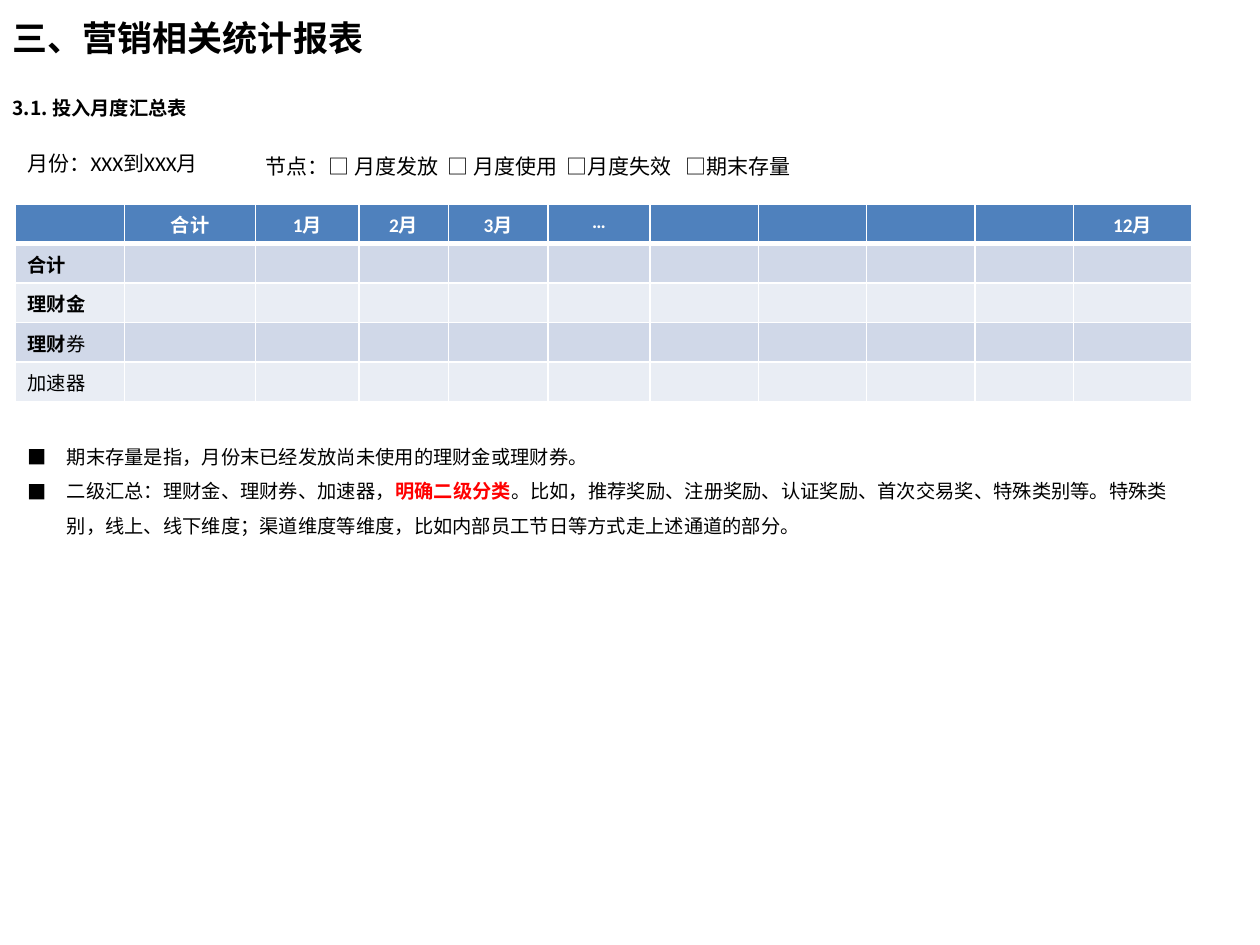
from lxml.etree import SubElement
from pptx import Presentation
from pptx.dml.color import RGBColor
from pptx.enum.text import MSO_ANCHOR, MSO_AUTO_SIZE, PP_ALIGN
from pptx.oxml.ns import qn
from pptx.util import Emu, Inches, Pt

THEME = {
    "cjk": "Noto Sans CJK SC", "latin": "Calibri",
    "black": "000000", "white": "FFFFFF", "red": "FF0000",
    "header": "4F81BD", "bands": ("D0D8E8", "E9EDF4"),
    "title": 20, "label": 12, "text": 11,
}

prs = Presentation()
prs.slide_width, prs.slide_height = Inches(10), Inches(7.5)


def share(x, y, w, h):
    """Turn percentages of the slide into left, top, width and height."""
    sw, sh = prs.slide_width / 100, prs.slide_height / 100
    return [Emu(round(v * side)) for v, side in ((x, sw), (y, sh), (w, sw), (h, sh))]


def write(p, text, size=THEME["text"], font=THEME["cjk"], color=THEME["black"], bold=False):
    r = p.add_run()
    r.text = text
    r.font.size, r.font.bold, r.font.name = Pt(size), bold, font
    r.font.color.rgb = RGBColor.from_string(color)
    SubElement(r.font._element, qn("a:ea"), typeface=THEME["cjk"])


s = prs.slides.add_slide(prs.slide_layouts[1])
title, body = s.placeholders

# Title
title.left, title.top, title.width, title.height = share(0, -0.1, 73.6, 8.1)
tf = title.text_frame
tf.vertical_anchor = MSO_ANCHOR.MIDDLE
tf.paragraphs[0].alignment = PP_ALIGN.LEFT
write(tf.paragraphs[0], "三、营销相关统计报表", size=THEME["title"], bold=True)

# Subtitle and filter line
labels = [
    ((0, 9.5, 86.2, 3.9), "3.1. 投入月度汇总表", {"bold": True}),
    ((1.2, 15.3, 26.8, 4), "月份：XXX到XXX月", {"size": THEME["label"], "font": THEME["latin"]}),
    ((20.1, 15.6, 74, 4), "节点：□ 月度发放  □ 月度使用  □月度失效   □期末存量",
     {"size": THEME["label"]}),
]
for area, text, fmt in labels:
    tf = s.shapes.add_textbox(*share(*area)).text_frame
    tf.word_wrap = True
    tf.auto_size = MSO_AUTO_SIZE.SHAPE_TO_FIT_TEXT
    write(tf.paragraphs[0], text, **fmt)

# Monthly summary table: each cell is a list of (text, bold) runs
col_shares = (8.7, 10.4, 8.2, 7.1, 7.9, 8.1, 8.6, 8.6, 8.6, 7.8, 9.4)
header = ("", "合计", "1月", "2月", "3月", "…", "", "", "", "", "12月")
row_names = (
    [("合计", True)],
    [("理财金", True)],
    [("理财", True), ("券", False)],
    [("加速器", False)],
)
blanks = [[]] * (len(header) - 1)
rows = [[[(t, True)] if t else [] for t in header]] + [[name] + blanks for name in row_names]

table = s.shapes.add_table(len(rows), len(header), *share(1.2, 21.6, sum(col_shares), 20.9)).table
for col, w in zip(table.columns, col_shares):
    col.width = share(0, 0, w, 0)[2]
for i, row in enumerate(rows):
    fill = THEME["bands"][(i - 1) % 2] if i else THEME["header"]
    edges = {"lnL": 1, "lnR": 1, "lnT": 3 if i == 1 else 1, "lnB": 1 if i else 3}
    for j, runs in enumerate(row):
        cell = table.cell(i, j)
        tcPr = cell._tc.get_or_add_tcPr()
        for edge, width in edges.items():
            ln = SubElement(tcPr, qn(f"a:{edge}"), w=str(Pt(width)))
            SubElement(SubElement(ln, qn("a:solidFill")), qn("a:srgbClr"), val=THEME["white"])
        cell.fill.solid()
        cell.fill.fore_color.rgb = RGBColor.from_string(fill)
        p = cell.text_frame.paragraphs[0]
        if i == 0:
            p.alignment = PP_ALIGN.CENTER
        for text, bold in runs:
            write(p, text, bold=bold, font=THEME["cjk"] if i else THEME["latin"],
                  color=THEME["black"] if i else THEME["white"])
        if not runs:
            SubElement(p._p, qn("a:endParaRPr"), sz=str(THEME["text"] * 100))

# Notes below the table
notes = [
    [("期末存量是指，月份末已经发放尚未使用的理财金或理财券。", {})],
    [("二级汇总：理财金、理财券、加速器，", {}),
     ("明确二级分类", {"color": THEME["red"], "bold": True}),
     ("。比如，推荐奖励、注册奖励、认证奖励、首次交易奖、特殊类别等。特殊类别，线上、线下维度；"
      "渠道维度等维度，比如内部员工节日等方式走上述通道的部分。", {})],
]
body.left, body.top, body.width, body.height = share(1.2, 45.2, 92.9, 12.4)
tf = body.text_frame
tf.auto_size = MSO_AUTO_SIZE.NONE
for i, runs in enumerate(notes):
    p = tf.add_paragraph() if i else tf.paragraphs[0]
    p.line_spacing, p.space_before = 1.5, Pt(0)
    pPr = p._p.get_or_add_pPr()
    pPr.set("marL", str(Inches(0.31)))
    pPr.set("indent", str(-Inches(0.31)))
    SubElement(pPr, qn("a:buFont"), typeface=THEME["cjk"])
    SubElement(pPr, qn("a:buChar"), char="■")
    for text, fmt in runs:
        write(p, text, **fmt)

prs.save("out.pptx")
